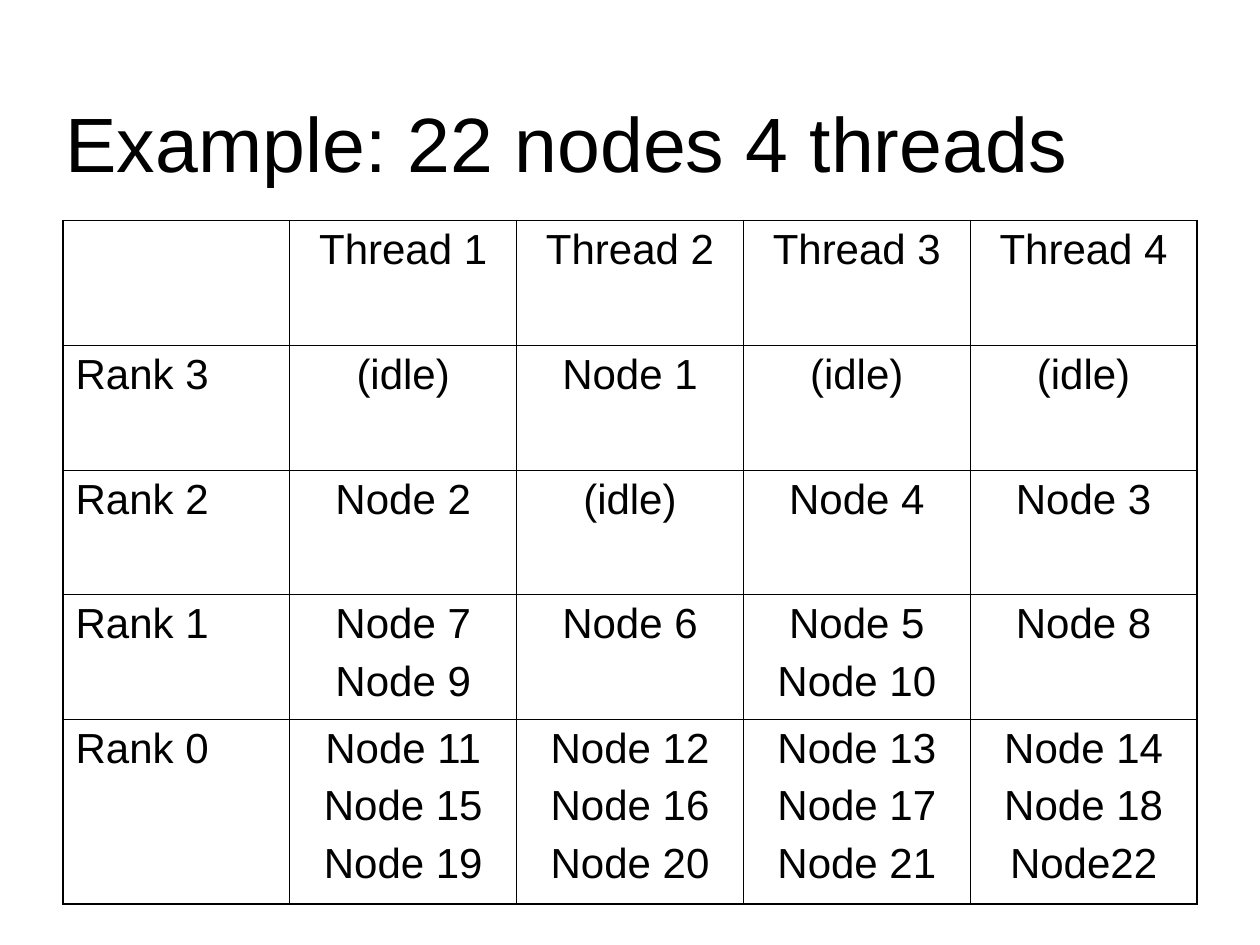
from lxml.etree import SubElement
from pptx import Presentation
from pptx.dml.color import RGBColor
from pptx.enum.text import MSO_ANCHOR as Anchor, PP_ALIGN as Align
from pptx.oxml.ns import qn
from pptx.util import Inches, Pt

COLORS = {"ink": "000000"}
FONT = "Arial"
TITLE_SIZE, CELL_SIZE, LINE_GAP = 44, 24, 6
INNER_LINE, OUTER_LINE = 0.45, 1.08

# Each cell lists its lines of text.
SCHEDULE = [
    [[], ["Thread 1"], ["Thread 2"], ["Thread 3"], ["Thread 4"]],
    [["Rank 3"], ["(idle)"], ["Node 1"], ["(idle)"], ["(idle)"]],
    [["Rank 2"], ["Node 2"], ["(idle)"], ["Node 4"], ["Node 3"]],
    [["Rank 1"], ["Node 7", "Node 9"], ["Node 6"], ["Node 5", "Node 10"], ["Node 8"]],
    [["Rank 0"], ["Node 11", "Node 15", "Node 19"], ["Node 12", "Node 16", "Node 20"],
     ["Node 13", "Node 17", "Node 21"], ["Node 14", "Node 18", "Node22"]],
]
ROW_HEIGHTS = [0.99] * 4 + [1.46]
SLIDE_WIDTH, SLIDE_HEIGHT = 10, 7.5
ROW_SHARES = [height / SLIDE_HEIGHT for height in ROW_HEIGHTS]


class SlideBuilder:
    def __init__(self, deck):
        self.width, self.height = deck.slide_width, deck.slide_height
        self.slide = deck.slides.add_slide(deck.slide_layouts[6])

    def place(self, left, top, width, height):
        """Turn shares of the slide into lengths."""
        return (int(left * self.width), int(top * self.height),
                int(width * self.width), int(height * self.height))

    def set_lines(self, frame, lines, size, align):
        frame.text = "\n".join(lines)
        for number, paragraph in enumerate(frame.paragraphs):
            paragraph.alignment = align
            if number:
                paragraph.space_before = Pt(LINE_GAP)
            for name, value in {"name": FONT, "size": Pt(size)}.items():
                setattr(paragraph.font, name, value)
            paragraph.font.color.rgb = RGBColor.from_string(COLORS["ink"])

    def title(self, words, *area):
        frame = self.slide.shapes.add_textbox(*self.place(*area)).text_frame
        for name, value in {"word_wrap": True, "vertical_anchor": Anchor.MIDDLE}.items():
            setattr(frame, name, value)
        self.set_lines(frame, [words], TITLE_SIZE, Align.CENTER)

    def borders(self, cell, widths):
        """Draw the cell's edges; widths maps L, R, T, B to points."""
        properties = cell._tc.get_or_add_tcPr()
        for position, (side, points) in enumerate(widths.items()):
            line = SubElement(properties, qn(f"a:ln{side}"), w=str(int(Pt(points))))
            fill = SubElement(line, qn("a:solidFill"))
            SubElement(fill, qn("a:srgbClr"), val=COLORS["ink"])
            properties.insert(position, line)

    def table(self, rows, row_shares, left, top, width):
        last_row, last_column = len(rows) - 1, len(rows[0]) - 1
        area = self.place(left, top, width, sum(row_shares))
        table = self.slide.shapes.add_table(len(rows), len(rows[0]), *area).table
        table.first_row = table.horz_banding = False
        for row, share in zip(table.rows, row_shares):
            row.height = int(share * self.height)
        for r, row in enumerate(rows):
            for c, lines in enumerate(row):
                cell = table.cell(r, c)
                cell.fill.background()
                self.set_lines(cell.text_frame, lines, CELL_SIZE,
                               Align.CENTER if c else Align.LEFT)
                outer = {"L": c == 0, "R": c == last_column, "T": r == 0, "B": r == last_row}
                self.borders(cell, {side: OUTER_LINE if edge else INNER_LINE
                                    for side, edge in outer.items()})


def main():
    deck = Presentation()
    deck.slide_width, deck.slide_height = Inches(SLIDE_WIDTH), Inches(SLIDE_HEIGHT)
    builder = SlideBuilder(deck)
    builder.title("Example: 22 nodes 4 threads", 0, 0.09, 0.9, 0.12)
    builder.table(SCHEDULE, ROW_SHARES, 0.05, 1.75 / SLIDE_HEIGHT, 0.9)
    deck.save("out.pptx")


if __name__ == "__main__":
    main()
